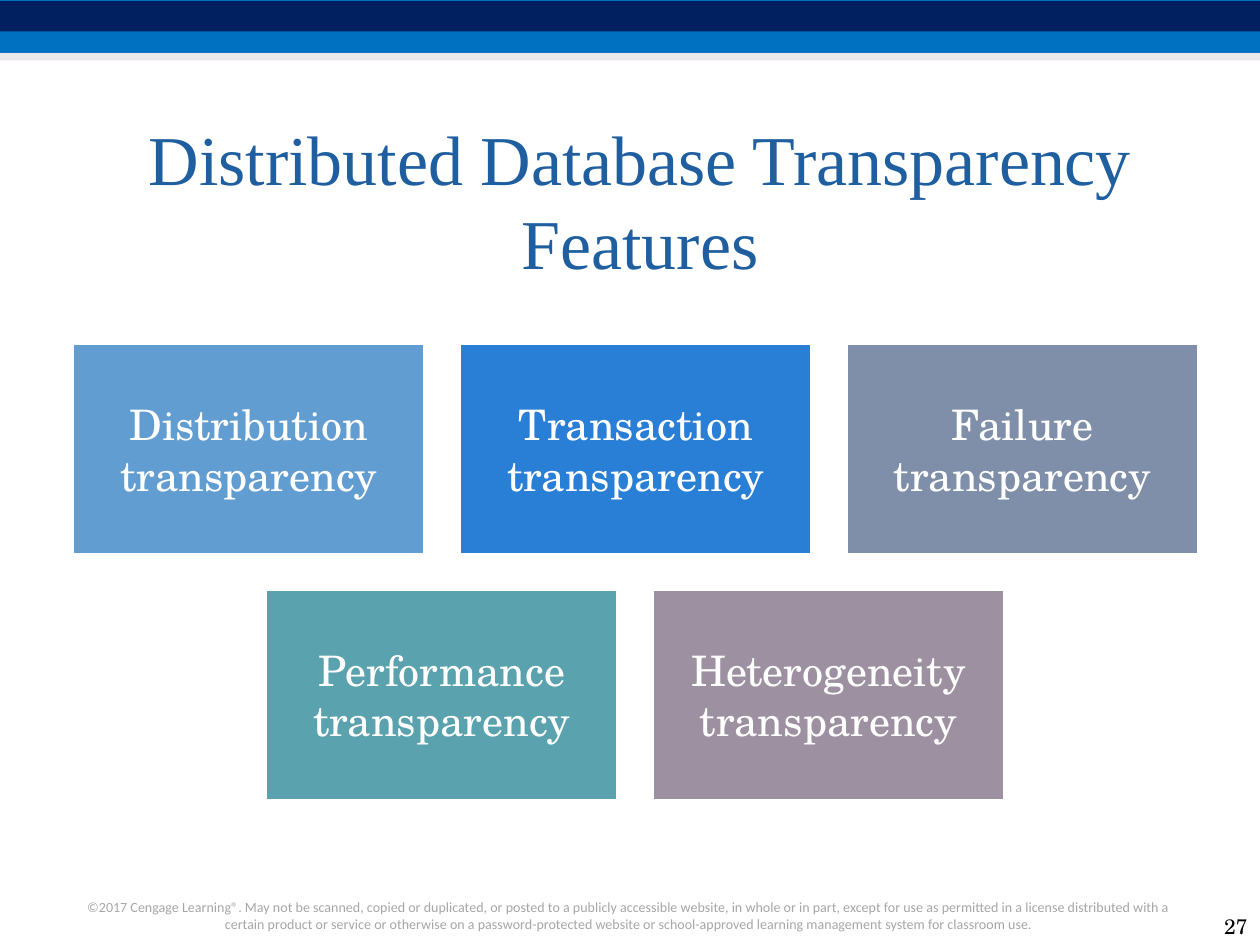
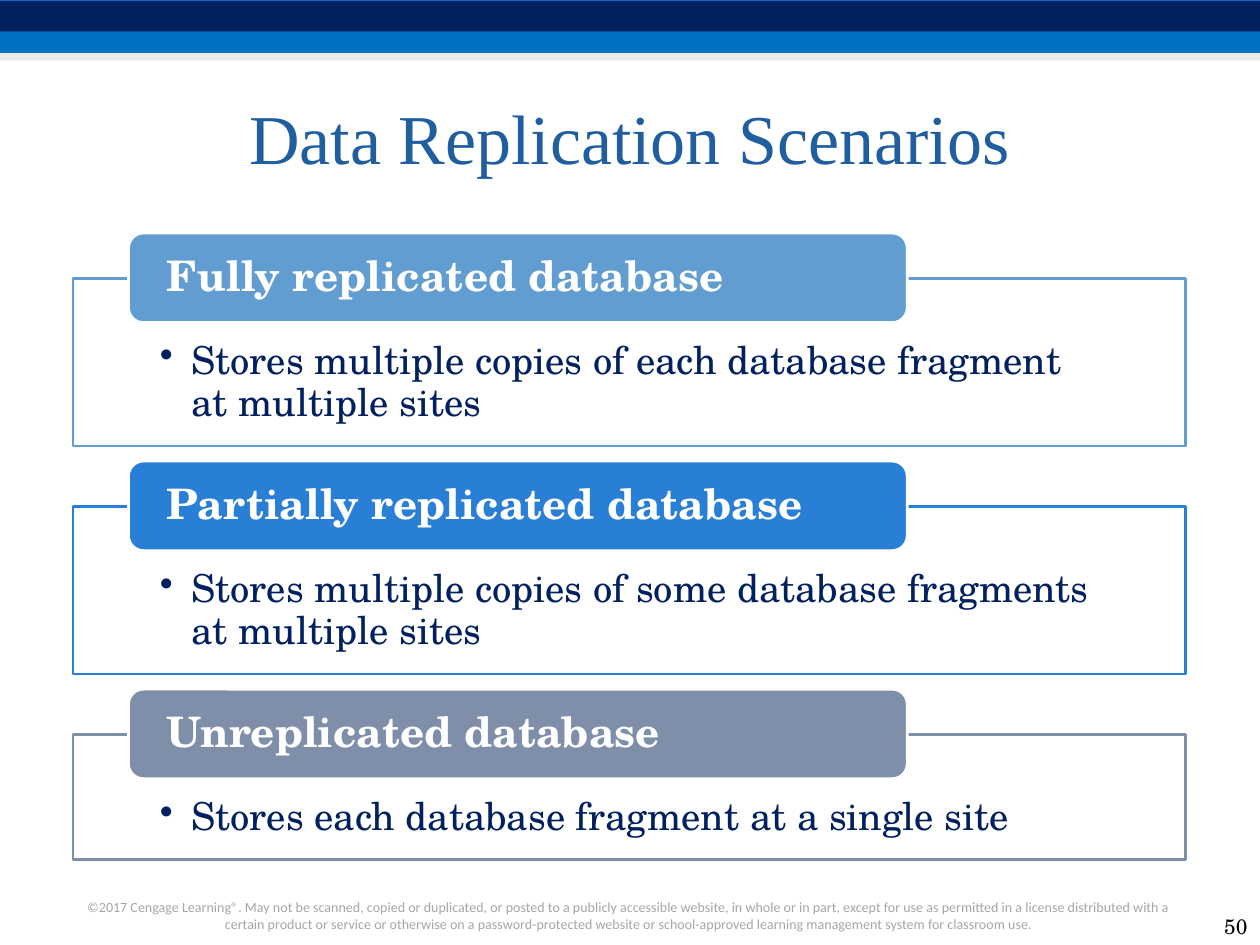
from lxml import etree
from pptx import Presentation
from pptx.dml.color import RGBColor
from pptx.enum.shapes import MSO_SHAPE
from pptx.enum.text import MSO_ANCHOR, MSO_AUTO_SIZE, PP_ALIGN
from pptx.oxml.ns import qn
from pptx.util import Pt

PX = 9144
RECT, ROUNDED = MSO_SHAPE.RECTANGLE, MSO_SHAPE.ROUNDED_RECTANGLE
TOP, MIDDLE, BOTTOM = MSO_ANCHOR.TOP, MSO_ANCHOR.MIDDLE, MSO_ANCHOR.BOTTOM
LEFT, CENTER, RIGHT = PP_ALIGN.LEFT, PP_ALIGN.CENTER, PP_ALIGN.RIGHT
NO_AUTOFIT = MSO_AUTO_SIZE.NONE
TITLE_ONLY = 5

COLORS = {
    "white": "FFFFFF", "black": "000000", "navy": "002060", "band": "0070C0",
    "mist": "D8D3D9", "title": "1F5FA0", "notice": "A6A6A6", "sky": "629DD1",
    "blue": "297FD5", "slate": "7F8FA9", "teal": "5AA2AE", "mauve": "9D90A0",
}
SERIF = "TeX Gyre Schola"
STYLES = {
    "title": ("title", {"name": "Times New Roman", "size": Pt(40)}),
    "notice": ("notice", {"name": "Calibri", "size": Pt(8)}),
    "number": ("black", {"name": SERIF, "size": Pt(12)}),
    "card": ("white", {"name": SERIF, "size": Pt(24)}),
    "heading": ("white", {"name": SERIF, "size": Pt(24), "bold": True}),
    "detail": ("navy", {"name": SERIF, "size": Pt(22)}),
}
BANDS = [((0, 0, 1000, 42), "band", 100), ((0, 1, 1000, 24), "navy", 100),
         ((0, 42, 1000, 6), "mist", 50)]
NOTICE = (
    "©2017 Cengage Learning®. May not be scanned, copied or duplicated, or posted to a "
    "publicly accessible website, in whole or in part, except for use as permitted in a "
    "license distributed with a certain product or service or otherwise on a "
    "password-protected website or school-approved learning management system for "
    "classroom use."
)
CARD_ROWS = [
    [("Distribution transparency", "sky"), ("Transaction transparency", "blue"),
     ("Failure transparency", "slate")],
    [("Performance transparency", "teal"), ("Heterogeneity transparency", "mauve")],
]
SCENARIOS = [
    ("Fully replicated database",
     "Stores multiple copies of each database fragment at multiple sites", "sky", 133),
    ("Partially replicated database",
     "Stores multiple copies of some database fragments at multiple sites", "blue", 133),
    ("Unreplicated database",
     "Stores each database fragment at a single site", "slate", 99),
]


def rgb(color):
    return RGBColor.from_string(COLORS[color])


class Deck:
    def __init__(self):
        self.prs = Presentation()
        self.prs.slide_width, self.prs.slide_height = 1000 * PX, 750 * PX
        self.slide = None

    def start(self, title, title_box, number):
        self.slide = self.prs.slides.add_slide(self.prs.slide_layouts[TITLE_ONLY])
        for box, color, opacity in BANDS:
            self.block(box, color, opacity=opacity)
        heading = self.slide.shapes.title
        for side, value in zip(("left", "top", "width", "height"), title_box):
            setattr(heading, side, value * PX)
        self.set_text(heading, title, "title", CENTER, MIDDLE)
        self.label((58, 708, 883, 42), NOTICE, "notice", CENTER, TOP)
        self.label((950, 717, 50, 33), number, "number", RIGHT, BOTTOM)

    def block(self, box, fill, line=None, opacity=100, preset=RECT):
        shape = self.slide.shapes.add_shape(preset, *(value * PX for value in box))
        shape.shadow.inherit = False
        shape.fill.solid()
        shape.fill.fore_color.rgb = rgb(fill)
        if opacity < 100:
            tint = shape._element.spPr.find(f"{qn('a:solidFill')}/{qn('a:srgbClr')}")
            etree.SubElement(tint, qn("a:alpha"), val=str(opacity * 1000))
        if line:
            shape.line.color.rgb = rgb(line)
            shape.line.width = Pt(1.5)
        else:
            shape.line.fill.background()
        return shape

    def label(self, box, text, style, align, anchor):
        holder = self.slide.shapes.add_textbox(*(value * PX for value in box))
        self.set_text(holder, text, style, align, anchor)

    def set_text(self, shape, text, style, align, anchor, insets=(10, 5, 10, 5),
                 spacing=None, bullet=False):
        frame = shape.text_frame
        sides = ("margin_left", "margin_top", "margin_right", "margin_bottom")
        settings = {"word_wrap": True, "auto_size": NO_AUTOFIT, "vertical_anchor": anchor,
                    **{side: inset * PX for side, inset in zip(sides, insets)}}
        for key, value in settings.items():
            setattr(frame, key, value)
        paragraph = frame.paragraphs[0]
        paragraph.alignment = align
        paragraph.line_spacing = spacing
        if bullet:
            props = paragraph._p.get_or_add_pPr()
            props.set("marL", str(25 * PX))
            props.set("indent", str(-25 * PX))
            etree.SubElement(props, qn("a:buChar"), char="•")
        run = paragraph.add_run()
        run.text = text
        color, font = STYLES[style]
        for key, value in font.items():
            setattr(run.font, key, value)
        run.font.color.rgb = rgb(color)

    def card(self, box, text, color):
        card = self.block(box, color, "white")
        self.set_text(card, text, "card", CENTER, MIDDLE, (10, 10, 10, 10))

    def scenario(self, top, height, heading, detail, color):
        panel = self.block((58, top, 883, height), "white", color, 90)
        self.set_text(panel, detail, "detail", LEFT, TOP, (69, 50, 69, 17), 0.9, True)
        tab = self.block((102, top - 36, 618, 71), color, "white", preset=ROUNDED)
        self.set_text(tab, heading, "heading", LEFT, MIDDLE, (27, 0, 27, 0), 0.9)


def transparency_features(deck):
    deck.start("Distributed Database Transparency Features", (58, 100, 900, 117), "27")
    width, height, gap, center, top = 279, 167, 28, 504, 273
    for row, cards in enumerate(CARD_ROWS):
        left = center - (len(cards) * (width + gap) - gap) // 2
        for column, (text, color) in enumerate(cards):
            x, y = left + column * (width + gap), top + row * (height + gap)
            deck.card((x, y, width, height), text, color)


def replication_scenarios(deck):
    deck.start("Data Replication Scenarios", (50, 50, 900, 117), "50")
    top, gap = 221, 48
    for heading, detail, color, height in SCENARIOS:
        deck.scenario(top, height, heading, detail, color)
        top += height + gap


def main():
    deck = Deck()
    transparency_features(deck)
    replication_scenarios(deck)
    deck.prs.save("out.pptx")


if __name__ == "__main__":
    main()
